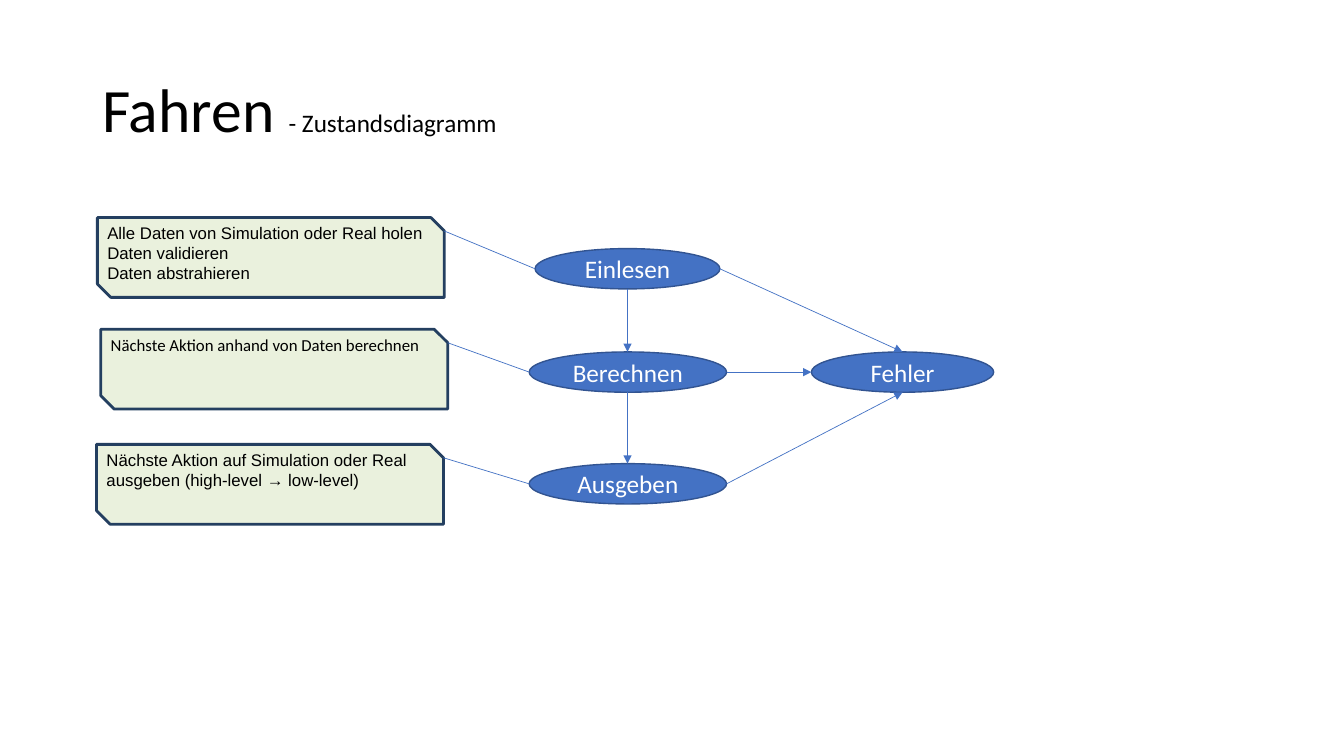
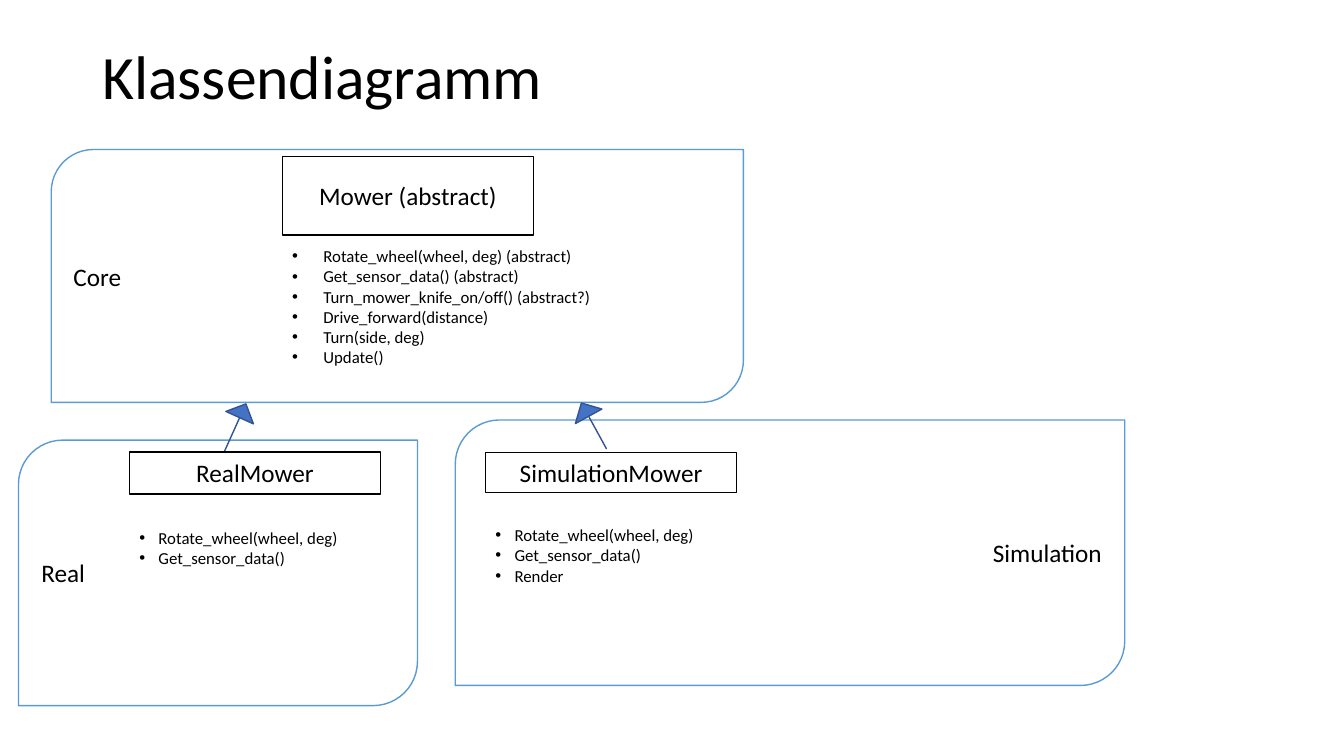
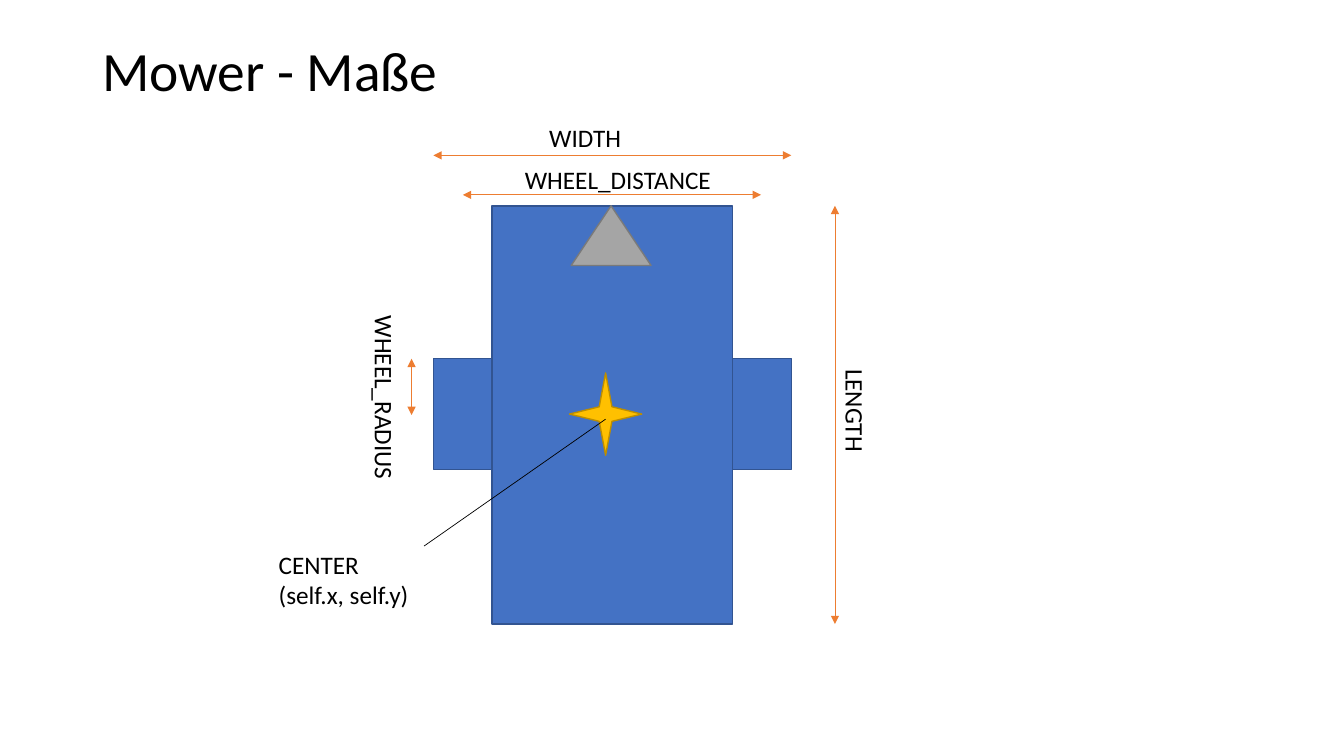
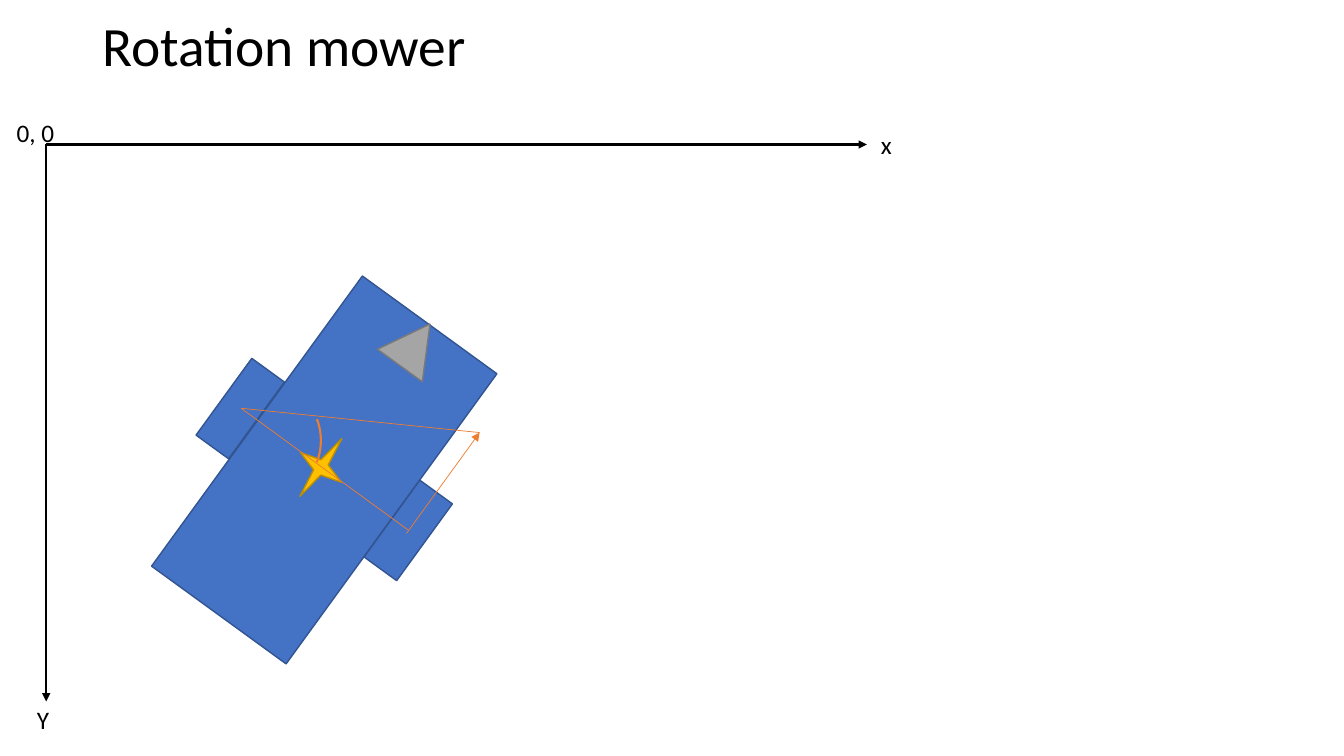
"""Builds four slides about a robotic mower: states, classes, dimensions and rotation."""
import pptx
import pptx.util
import pptx.dml.color
import pptx.enum.shapes
import pptx.enum.text
import pptx.oxml.ns
from lxml import etree

COLORS = {
    "black": "000000", "white": "FFFFFF", "blue": "4472C4", "navy": "325491",
    "sky": "5B9BD5", "mint": "EAF1DD", "ink": "243F60", "grey": "A5A5A5",
    "steel": "7A7A7A", "gold": "FFC000", "ochre": "BD8E00", "orange": "ED7D31",
}
RGB = {name: pptx.dml.color.RGBColor.from_string(h) for name, h in COLORS.items()}
KIND = pptx.enum.shapes.MSO_SHAPE
ALIGN = {"l": pptx.enum.text.PP_ALIGN.LEFT, "c": pptx.enum.text.PP_ALIGN.CENTER,
         "r": pptx.enum.text.PP_ALIGN.RIGHT}
ANCHOR = {"t": pptx.enum.text.MSO_ANCHOR.TOP, "m": pptx.enum.text.MSO_ANCHOR.MIDDLE}
qn = pptx.oxml.ns.qn

prs = pptx.Presentation()
prs.slide_width, prs.slide_height = pptx.util.Inches(13.333), pptx.util.Inches(7.5)
COL, ROW = prs.slide_width / 160, prs.slide_height / 90
CUT = 1.6


def box(s, kind, at, fill=None, line=None, text="", size=18, color="black",
        al="l", anchor="t", rot=0, width=1, font="Calibri"):
    """Add a text box, a cut-corner note or a preset shape, placed on the grid."""
    x, y, w, h = at
    emu = [round(x * COL), round(y * ROW), round(w * COL), round(h * ROW)]
    if kind == "text":
        sp = s.shapes.add_textbox(*emu)
    elif kind == "note":
        pts = [(x, y), (x + w - CUT, y), (x + w, y + CUT), (x + w, y + h),
               (x + CUT, y + h), (x, y + h - CUT)]
        pts = [(round(px * COL), round(py * ROW)) for px, py in pts]
        fb = s.shapes.build_freeform(*pts[0])
        fb.add_line_segments(pts[1:])
        sp = fb.convert_to_shape()
    else:
        sp = s.shapes.add_shape(kind, *emu)
    sp.shadow.inherit = False
    sp.rotation = rot
    if fill:
        sp.fill.solid()
        sp.fill.fore_color.rgb = RGB[fill]
    else:
        sp.fill.background()
    if line:
        sp.line.color.rgb = RGB[line]
        sp.line.width = pptx.util.Pt(width)
    if text:
        tf = sp.text_frame
        tf.text = text
        tf.word_wrap = True
        tf.vertical_anchor = ANCHOR[anchor]
        for p in tf.paragraphs:
            p.alignment = ALIGN[al]
            for r in p.runs:
                r.font.name, r.font.size = font, pptx.util.Pt(size)
                r.font.color.rgb = RGB[color]
    return sp


def link(s, start, end, color, ends="", width=0.5):
    """Add a straight line between two grid points, with arrowheads at the named ends."""
    c = s.shapes.add_connector(pptx.enum.shapes.MSO_CONNECTOR.STRAIGHT,
                               round(start[0] * COL), round(start[1] * ROW),
                               round(end[0] * COL), round(end[1] * ROW))
    c.line.color.rgb = RGB[color]
    c.line.width = pptx.util.Pt(width)
    spPr = c.element.spPr
    for tag in ends.split():
        etree.SubElement(spPr.find(qn("a:ln")), qn(f"a:{tag}End"), type="triangle")
    etree.SubElement(spPr, qn("a:effectLst"))


slides = []
for title, size, top, height in [("Fahren ", 44, 4.7, 17.4), ("Klassendiagramm", 44, 4.8, 9.4),
                                 ("Mower - Maße", 39.6, 4.8, 8), ("Rotation mower", 39.6, 3, 5.5)]:
    s = prs.slides.add_slide(prs.slide_layouts[6])
    sp = box(s, "text", (11, top, 138, height), text=title, size=size, anchor="m")
    sp.text_frame.paragraphs[0].line_spacing = 0.9
    slides.append((s, sp))

s, sp = slides[0]
r = sp.text_frame.paragraphs[0].add_run()
r.text = "- Zustandsdiagramm"
r.font.name, r.font.size, r.font.color.rgb = "Calibri", pptx.util.Pt(18), RGB["black"]

OVAL_H, MID = 4.8, 74.7
states = [("Einlesen", 63.7, 29.6, 22), ("Berechnen", 63, 41.9, 23.5),
          ("Ausgeben", 63, 55.2, 23.5), ("Fehler", 96.6, 41.9, 21.7)]
for name, x, y, w in states:
    box(s, KIND.OVAL, (x, y, w, OVAL_H), "blue", "navy", name, color="white", al="c", anchor="m")
fx, fy, fw = states[3][1:]
targets = [(fx + fw / 2, fy), (fx, fy + OVAL_H / 2), (fx + fw / 2, fy + OVAL_H)]
for (name, x, y, w), target in zip(states, targets):
    link(s, (x + w, y + OVAL_H / 2), target, "blue", "tail")
for upper, lower in zip(states[:2], states[1:3]):
    link(s, (MID, upper[2] + OVAL_H), (MID, lower[2]), "blue", "tail")

NOTE_W, NOTE_H = 41.3, 9.5
notes = [
    (11.6, 25.9, "Arial", "Alle Daten von Simulation oder Real holen\nDaten validieren\nDaten abstrahieren"),
    (12, 39.2, "Calibri", "Nächste Aktion anhand von Daten berechnen"),
    (11.5, 52.9, "Arial", "Nächste Aktion auf Simulation oder Real ausgeben (high-level → low-level)"),
]
for (x, y, font, text), state in zip(notes, states):
    box(s, "note", (x, y, NOTE_W, NOTE_H), "mint", "ink", text, size=12, width=2, font=font)
    link(s, (x + NOTE_W, y + CUT), (state[1], state[2] + OVAL_H / 2), "blue")

s, sp = slides[1]
for name, at, al in [("Simulation", (54.2, 50, 79.7, 31.6), "r"),
                     ("Real", (2.2, 52.4, 47.5, 31.6), "l"),
                     ("Core", (6.1, 17.8, 82.4, 30.1), "l")]:
    box(s, KIND.ROUND_2_DIAG_RECTANGLE, at, "white", "sky", name, al=al, anchor="m")
for x, y, rot in [(26.2, 47.8, 204.3), (68.9, 47.6, 151.3)]:
    sp = box(s, KIND.DOWN_ARROW, (x, y, 3.6, 6.2), "blue", "navy", rot=rot)
    sp.adjustments[0], sp.adjustments[1] = 0, 0.5
classes = [
    ("Mower (abstract)", 33.6, 18.6, 9.4, 28.7, 43.8, 18.1, 0.31,
     ["Rotate_wheel(wheel, deg) (abstract)", "Get_sensor_data() (abstract)",
      "Turn_mower_knife_on/off() (abstract?)", "Drive_forward(distance)",
      "Turn(side, deg)", "Update()"]),
    ("SimulationMower", 57.8, 53.9, 4.7, 61.9, 27.1, 8.5, 0.19,
     ["Rotate_wheel(wheel, deg)", "Get_sensor_data()", "Render"]),
    ("RealMower", 15.4, 53.8, 5, 62.2, 28.7, 6, 0.19,
     ["Rotate_wheel(wheel, deg)", "Get_sensor_data()"]),
]
for name, x, y, h, list_y, list_w, list_h, indent, methods in classes:
    box(s, KIND.RECTANGLE, (x, y, 29.9, h), "white", "black", name, al="c", anchor="m")
    sp = box(s, "text", (x, list_y, list_w, list_h), text="\n".join(methods), size=12)
    for p in sp.text_frame.paragraphs:
        pPr = p._p.get_or_add_pPr()
        pPr.set("marL", str(pptx.util.Inches(indent)))
        pPr.set("indent", str(-pptx.util.Inches(indent)))
        etree.SubElement(pPr, qn("a:buFont"), typeface="Arial")
        etree.SubElement(pPr, qn("a:buChar"), char="•")

parts = [(KIND.RECTANGLE, "blue", "navy")] * 3 + [
    (KIND.ISOSCELES_TRIANGLE, "grey", "steel"), (KIND.STAR_4_POINT, "gold", "ochre")]
mowers = [
    (slides[2][0], 0, [(58.6, 24.5, 28.6, 49.8), (87.2, 42.7, 7, 13.2), (51.6, 42.7, 7, 13.2),
                       (68, 24.5, 9.5, 7.1), (67.8, 44.4, 8.6, 9.8)]),
    (slides[3][0], 36, [(28.7, 34.6, 19.8, 42.7), (46.2, 57.5, 4.8, 11.3), (26.2, 43, 4.8, 11.3),
                        (46.1, 38, 6.6, 6.1), (35.2, 51.4, 6, 8.5)]),
]
for s, rot, places in mowers:
    for (kind, fill, line), at in zip(parts, places):
        box(s, kind, at, fill, line, rot=rot)

s, sp = slides[2]
dimensions = [
    ("WIDTH", (64.2, 14, 15.7, 4.8), 0, (51.6, 18.5), (94.2, 18.5)),
    ("LENGTH", (94.7, 47.5, 14.3, 4.8), 90, (99.4, 24.5), (99.4, 74.3)),
    ("WHEEL_RADIUS", (34, 45.8, 23.6, 4.8), 90, (49, 49.4), (49, 42.7)),
    ("WHEEL_DISTANCE", (61.3, 19, 25.8, 4.8), 0, (55.1, 23.2), (90.6, 23.2)),
]
for name, at, rot, start, end in dimensions:
    link(s, start, end, "orange", "head tail")
    box(s, "text", at, text=name, rot=rot)
link(s, (72.1, 49.9), (50.5, 65), "black")
box(s, "text", (32, 64.8, 20.6, 8.5), text="CENTER\n(self.x, self.y)")

s, sp = slides[3]
left, right, ahead = (28.7, 48.6), (48.6, 63.1), (57.1, 51.5)
link(s, (48.4, 63.5), ahead, "orange", "tail")
for end in (right, ahead):
    link(s, left, end, "orange")
sp = box(s, KIND.ARC, (33.5, 48.2, 4.7, 8.5), line="orange", width=1.5)
sp.adjustments[0], sp.adjustments[1] = 183.77, 32.53
origin = (5.5, 17.2)
for end in [(5.5, 83.5), (103.2, 17.2)]:
    link(s, origin, end, "black", "tail", 1.5)
for name, x, y, w in [("x", 103.7, 14.8, 10.3), ("Y", 3.2, 83.3, 7.8), ("0, 0", 0.8, 13.4, 7.8)]:
    box(s, "text", (x, y, w, 4.8), text=name)

prs.save("out.pptx")
